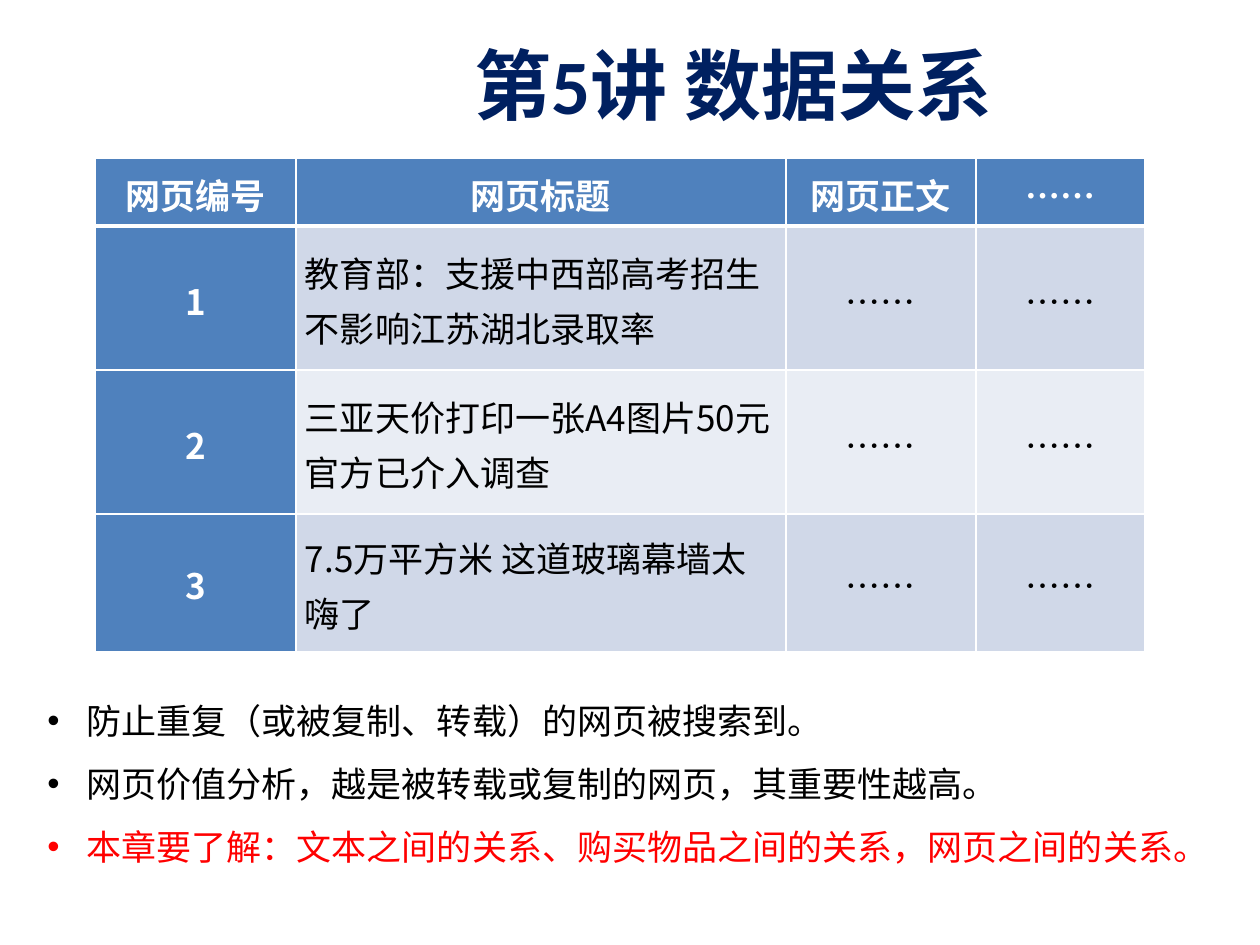
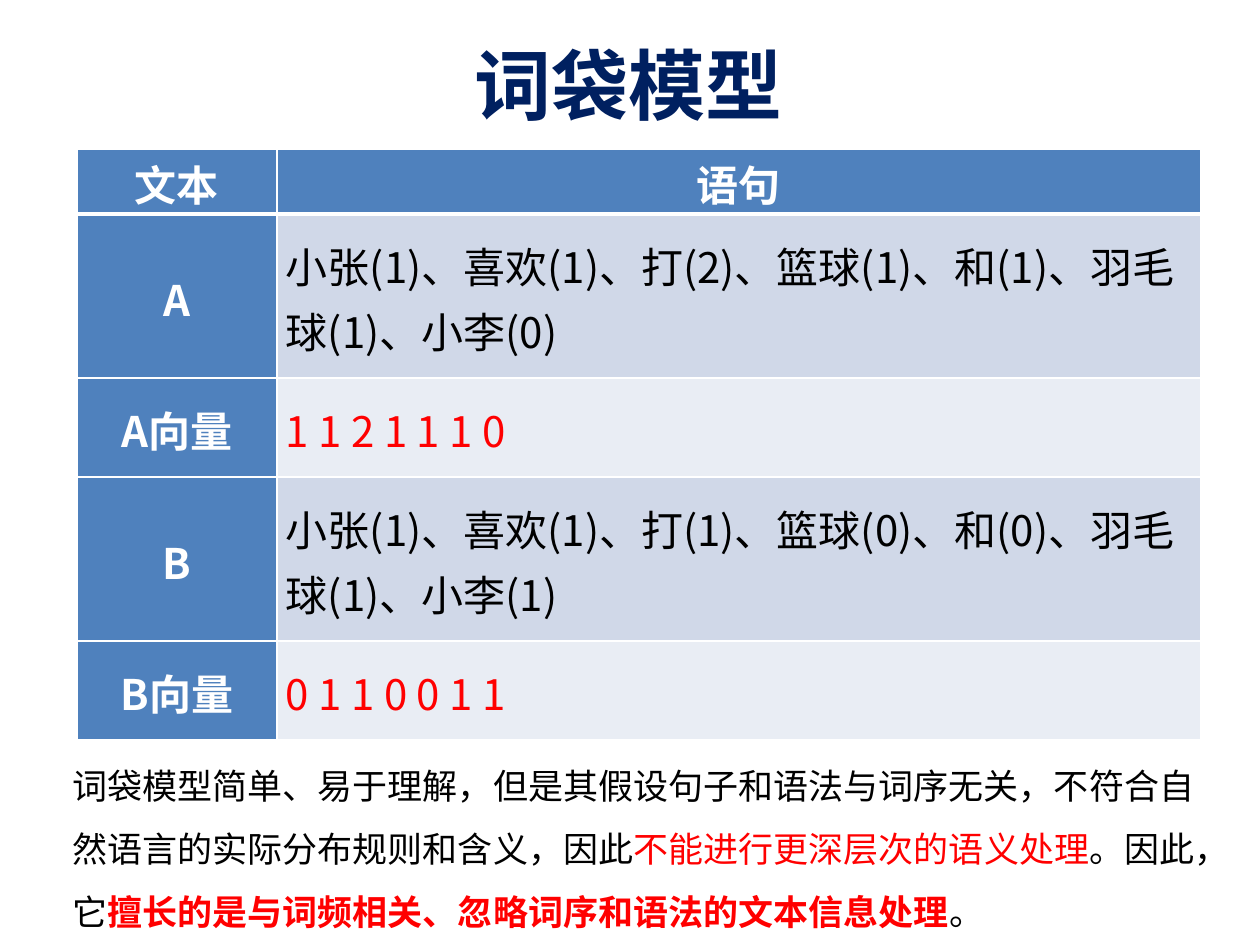
from lxml import etree
from pptx import Presentation
from pptx import util as u
from pptx.dml.color import RGBColor
from pptx.enum import text
from pptx.oxml.ns import qn

NAVY = RGBColor(0x00, 0x20, 0x60)
BLUE = RGBColor(0x4F, 0x81, 0xBD)
BANDS = (RGBColor(0xD0, 0xD8, 0xE8), RGBColor(0xE9, 0xED, 0xF4))
RED = RGBColor(0xFF, 0x00, 0x00)
BLACK = RGBColor(0x00, 0x00, 0x00)
WHITE = RGBColor(0xFF, 0xFF, 0xFF)

CJK = "Noto Sans CJK SC"
LATIN = "Calibri"
DOTS = "……"
CENTER = text.PP_ALIGN.CENTER
LEFT = text.PP_ALIGN.LEFT


def px(n):
    return u.Emu(round(n * 914400 / 126))


def format_run(r, size, color, bold=False, font=CJK):
    r.font.size = u.Pt(size)
    r.font.bold = bold
    r.font.color.rgb = color
    r.font.name = font
    ea = etree.Element(qn("a:ea"), typeface=CJK)
    r._r.rPr.find(qn("a:latin")).addnext(ea)


def add_text(slide, x, y, w, h):
    tf = slide.shapes.add_textbox(px(x), px(y), px(w), px(h)).text_frame
    tf.word_wrap = True
    return tf


def add_title(slide, title):
    tf = add_text(slide, 462, 21, 714, 126)
    tf.vertical_anchor = text.MSO_ANCHOR.MIDDLE
    tf.text = title
    format_run(tf.paragraphs[0].runs[0], 44, NAVY, True, LATIN)


def add_paragraph(tf, runs, bullet=False, align=LEFT):
    """Fill the empty first paragraph or add one; runs are (text, color, bold)."""
    p = tf.paragraphs[0] if not tf.paragraphs[0].runs else tf.add_paragraph()
    p.alignment = align
    p.line_spacing = 1.5
    if bullet:
        pPr = p._p.get_or_add_pPr()
        pPr.set("marL", str(px(39)))
        pPr.set("indent", str(-px(39)))
        etree.SubElement(pPr, qn("a:buFont"), typeface="Arial")
        etree.SubElement(pPr, qn("a:buChar"), char="•")
    for words, color, bold in runs:
        r = p.add_run()
        r.text = words
        format_run(r, 20, color, bold)


def add_border(cell, side, points):
    tcPr = cell._tc.get_or_add_tcPr()
    ln = etree.SubElement(tcPr, qn("a:ln" + side), w=str(u.Pt(points)))
    fill = etree.SubElement(ln, qn("a:solidFill"))
    etree.SubElement(fill, qn("a:srgbClr"), val=str(WHITE))


def fill_cell(cell, words, row, col, size, color):
    head = row == 0 or col == 0
    for side in "LRTB":
        thick = (side, row) in (("B", 0), ("T", 1))
        add_border(cell, side, 3 if thick else 1)
    cell.fill.solid()
    cell.fill.fore_color.rgb = BLUE if head else BANDS[(row - 1) % 2]
    cell.margin_left = cell.margin_right = px(9)
    cell.margin_top = cell.margin_bottom = 0
    cell.vertical_anchor = text.MSO_ANCHOR.MIDDLE
    cell.text = words
    p = cell.text_frame.paragraphs[0]
    p.alignment = CENTER if head or words == DOTS else LEFT
    p.line_spacing = 1.07
    format_run(p.runs[0], size, WHITE if head else color, head)


def add_table(slide, x, y, widths, heights, rows, size, red_rows=()):
    table = slide.shapes.add_table(len(heights), len(widths), px(x), px(y),
                                   px(sum(widths)), px(sum(heights))).table
    for column, width in zip(table.columns, widths):
        column.width = px(width)
    for i, (height, row) in enumerate(zip(heights, rows)):
        table.rows[i].height = px(height)
        for j, words in enumerate(row):
            color = RED if i in red_rows else BLACK
            fill_cell(table.cell(i, j), words, i, j, size, color)


def build_relations(slide):
    add_title(slide, "第5讲 数据关系")

    # Web page table
    pages = ("教育部：支援中西部高考招生不影响江苏湖北录取率",
             "三亚天价打印一张A4图片50元 官方已介入调查",
             "7.5万平方米 这道玻璃幕墙太嗨了")
    rows = [("网页编号", "网页标题", "网页正文", DOTS)]
    rows += [(str(n), page, DOTS, DOTS) for n, page in enumerate(pages, 1)]
    add_table(slide, 95, 158, (201, 490, 190, 169), (68, 144, 144, 138), rows, 20)

    # Bullets
    tf = add_text(slide, 35, 672, 1168, 204)
    add_paragraph(tf, [("防止重复（或被复制、转载）的网页被搜索到。", BLACK, False)],
                  True, text.PP_ALIGN.JUSTIFY)
    add_paragraph(tf, [("网页价值分析，越是被转载或复制的网页，其重要性越高。", BLACK, False)], True)
    add_paragraph(tf, [("本章要了解：文本之间的关系、购买物品之间的关系，网页之间的关系。",
                        RED, False)], True)


def build_bag_of_words(slide):
    add_title(slide, "词袋模型")

    # Sentences and their count vectors
    vocabulary = ("小张", "喜欢", "打", "篮球", "和", "羽毛球", "小李")
    vectors = {"A": (1, 1, 2, 1, 1, 1, 0), "B": (0, 1, 1, 0, 0, 1, 1)}
    sentence_counts = {"A": vectors["A"], "B": (1, 1, 1, 0, 0, 1, 1)}
    rows = [("文本", "语句")]
    for name, vector in vectors.items():
        counted = zip(vocabulary, sentence_counts[name])
        rows.append((name, "、".join(f"{word}({n})" for word, n in counted)))
        rows.append((name + "向量", " ".join(map(str, vector))))
    add_table(slide, 77, 149, (200, 924), (65, 164, 99, 164, 99), rows, 24,
              red_rows=(2, 4))

    # Conclusion
    tf = add_text(slide, 60, 737, 1149, 204)
    add_paragraph(tf, [
        ("词袋模型简单、易于理解，但是其假设句子和语法与词序无关，"
         "不符合自然语言的实际分布规则和含义，因此", BLACK, False),
        ("不能进行更深层次的语义处理", RED, False),
        ("。因此，它", BLACK, False),
        ("擅长的是与词频相关、忽略词序和语法的文本信息处理", RED, True),
        ("。", BLACK, False),
    ])


def main():
    prs = Presentation()
    prs.slide_width, prs.slide_height = px(1260), px(945)
    for build in (build_relations, build_bag_of_words):
        build(prs.slides.add_slide(prs.slide_layouts[6]))
    prs.save("out.pptx")


if __name__ == "__main__":
    main()
